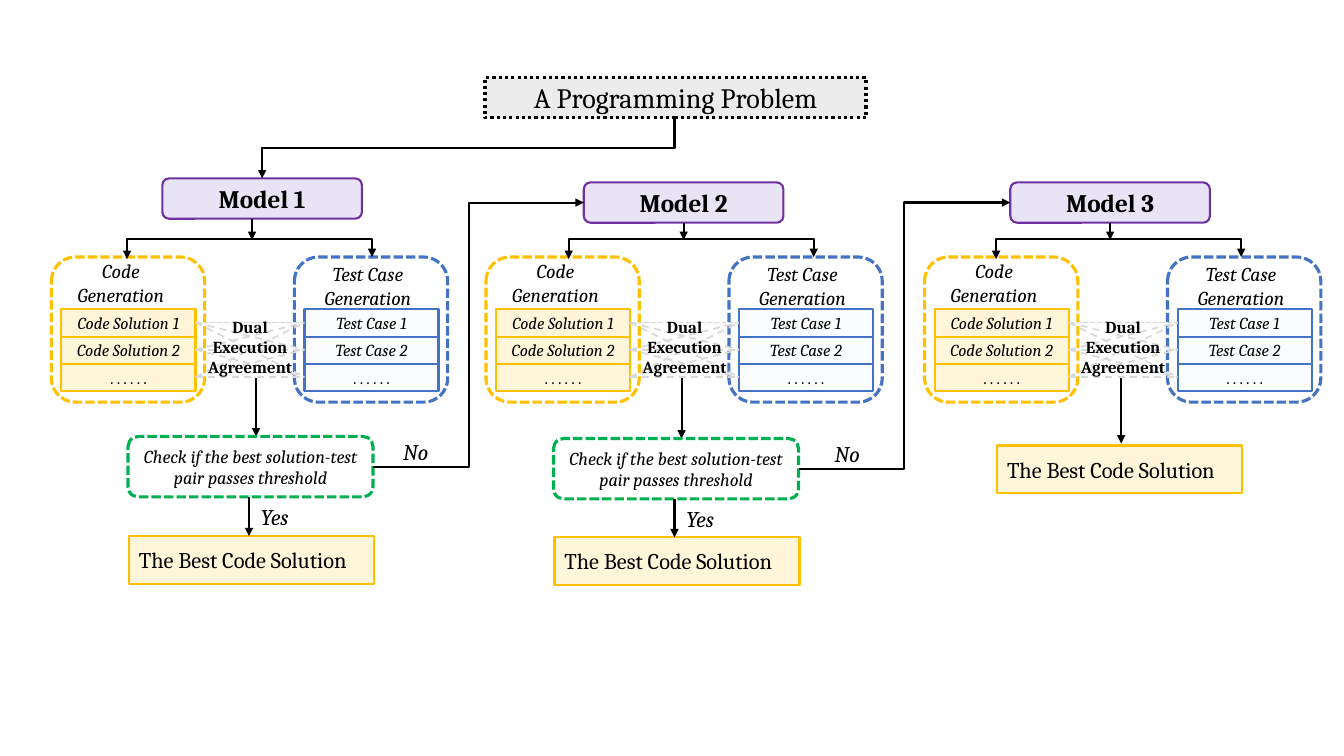
"""Build the slide of three models that are tried in turn on a programming problem."""
from itertools import product
from lxml import etree
from pptx import Presentation
from pptx.dml.color import RGBColor
from pptx.enum import dml, shapes, text
from pptx.oxml import ns
from pptx.util import Inches, Pt

GOLD, BLUE, PALE, GREEN = "FFC000", "4472C4", "DEEBF7", "00B050"
PLUM, LILAC, GRAY, SMOKE = "7030A0", "876FCA", "D9D9D9", "AFABAB"
BLACK, WHITE = "000000", "FFFFFF"
RECT, ROUND = shapes.MSO_SHAPE.RECTANGLE, shapes.MSO_SHAPE.ROUNDED_RECTANGLE
DASH = dml.MSO_LINE
LEFT = text.PP_ALIGN.LEFT
DOTS = ". . . . . ."

PANELS = [
    {"head": ["Code", "Generation"], "rows": ["Code Solution 1", "Code Solution 2", DOTS],
     "dx": 0, "mid": 0.69, "top": 2.52, "line": GOLD, "fill": GOLD},
    {"head": ["Test Case", "Generation"], "rows": ["Test Case 1", "Test Case 2", DOTS],
     "dx": 2.41, "mid": 0.73, "top": 2.55, "line": BLUE, "fill": PALE},
]
MODELS = [
    {"name": "Model 1", "at": (1.61, 1.77), "x": 0.51, "stem": 2.5, "fork": 1.26,
     "drop": 2.54, "check": (1.27, 4.33), "best": (1.28, 5.32), "no": 3.9, "turn": 4.65},
    {"name": "Model 2", "at": (5.79, 1.81), "x": 4.82, "stem": 6.78, "fork": 5.64,
     "drop": 6.76, "check": (5.49, 4.35), "best": (5.5, 5.33), "no": 8.18, "turn": 8.97},
    {"name": "Model 3", "at": (10.02, 1.81), "x": 9.17, "stem": 11.01, "fork": 9.88,
     "drop": 11.12, "best": (9.89, 4.42)},
]
CHECK = "Check if the best solution-test pair passes threshold"
BEST = "The Best Code Solution"
WIDE, HIGH, ROW = 1.98, 0.4, 0.27

deck = Presentation()
deck.slide_width, deck.slide_height = Inches(13.33), Inches(7.5)
slide = deck.slides.add_slide(deck.slide_layouts[5])


def tint(part, code, alpha=100):
    """Give a fill a solid colour with an opacity in percent."""
    part.solid()
    part.fore_color.rgb = RGBColor.from_string(code)
    if alpha < 100:
        node = part._xPr.find(".//" + ns.qn("a:srgbClr"))
        etree.SubElement(node, ns.qn("a:alpha"), val=str(alpha * 1000))


def write(shape, lines, size=12, bold=False, italic=False,
          align=text.PP_ALIGN.CENTER, anchor=text.MSO_ANCHOR.MIDDLE, wrap=True):
    """Put one line or a list of lines into a shape."""
    frame = shape.text_frame
    frame.auto_size = text.MSO_AUTO_SIZE.NONE
    frame.word_wrap, frame.vertical_anchor = wrap, anchor
    lines = [lines] if isinstance(lines, str) else lines
    for i, line in enumerate(lines):
        para = frame.add_paragraph() if i else frame.paragraphs[0]
        para.alignment = align
        run = para.add_run()
        run.text = line
        font = run.font
        font.name, font.size, font.bold, font.italic = "Cambria", Pt(size), bold, italic
        tint(font.fill, BLACK)


def style(shape, fill, line, weight=1.5, dash=None, alpha=100):
    """Set the fill and the outline of a shape."""
    shape.shadow.inherit = False
    tint(shape.fill, fill, alpha)
    tint(shape.line.fill, line)
    shape.line.width = Pt(weight)
    shape.line.dash_style = dash


def box(kind, x, y, w, h, fill, line, **look):
    """Add a filled shape."""
    shape = slide.shapes.add_shape(kind, *map(Inches, (x, y, w, h)))
    style(shape, fill, line, **look)
    return shape


def label(x, y, w, h, lines, **form):
    """Add a text box."""
    area = slide.shapes.add_textbox(*map(Inches, (x, y, w, h)))
    write(area, lines, anchor=text.MSO_ANCHOR.TOP, **form)


def link(x1, y1, x2, y2, kind=shapes.MSO_CONNECTOR.STRAIGHT, color=BLACK,
         weight=1.5, dash=None, ends=("tailEnd",), bend=None):
    """Add a connector with arrowheads at the named ends."""
    wire = slide.shapes.add_connector(kind, *map(Inches, (x1, y1, x2, y2)))
    tint(wire.line.fill, color)
    wire.line.width, wire.line.dash_style = Pt(weight), dash
    pen = wire.line._get_or_add_ln()
    for end in ends:
        etree.SubElement(pen, ns.qn("a:" + end), type="triangle")
    prop = wire._element.spPr
    etree.SubElement(prop, ns.qn("a:effectLst"))
    if bend is not None:
        guides = prop.find(ns.qn("a:prstGeom")).get_or_add_avLst()
        etree.SubElement(guides, ns.qn("a:gd"), name="adj1", fmla=f"val {round(bend * 100000)}")
    return wire


def elbow(x1, y1, x2, y2, turn):
    """Link two points sideways, turning at a given x."""
    link(x1, y1, x2, y2, shapes.MSO_CONNECTOR.ELBOW, bend=(turn - x1) / (x2 - x1))


def fall(x1, y1, x2, y2, turn, **look):
    """Link a right point to a lower left one, turning at a given y."""
    x, y, w, h = (x1 + x2) / 2, (y1 + y2) / 2, (y2 - y1) / 2, (x1 - x2) / 2
    wire = link(x - w, y - h, x + w, y + h, shapes.MSO_CONNECTOR.ELBOW,
                bend=(turn - y1) / (y2 - y1), **look)
    wire._element.spPr.xfrm.set("rot", "5400000")


def panel(x, part):
    """Draw a dashed panel with its heading and rows."""
    left = x + part["dx"]
    box(ROUND, left, 2.55, 1.52, 1.44, WHITE, part["line"], weight=2.25, dash=DASH.SQUARE_DOT)
    for i, row in enumerate(part["rows"]):
        cell = box(RECT, left + 0.1, 3.07 + i * ROW, 1.33, ROW, part["fill"], part["line"], alpha=15)
        write(cell, row, italic=row != DOTS)
    label(left + part["mid"] - 0.6, part["top"], 1.2, 0.57, part["head"],
          size=14, italic=True, wrap=False)


def stage(model):
    """Draw one model from its name down to its best solution."""
    x, (left, top), drop = model["x"], model["at"], model["drop"]
    write(box(ROUND, left, top, WIDE, HIGH, LILAC, PLUM, alpha=19), model["name"], size=18, bold=True)
    for part in PANELS:
        panel(x, part)
    fall(model["fork"] + 2.43, 2.55, model["fork"], 2.57, 2.37, ends=("headEnd", "tailEnd"))
    link(model["stem"], top + HIGH, model["stem"], 2.38)
    for i, j in product(range(3), repeat=2):
        link(x + 1.43, 3.2 + i * ROW, x + 2.51, 3.2 + j * ROW, color=GRAY, weight=1.25,
             dash=DASH.DASH if i or j else DASH.SQUARE_DOT, ends=())
    label(x + 1.21, 3.09, 1.52, 0.71, ["Dual", "Execution", "Agreement"], bold=True)
    goal, low = model["best"]
    write(box(RECT, goal, low, 2.43, 0.47, GOLD, GOLD, alpha=15), BEST, size=16, align=LEFT)
    if "check" not in model:
        link(drop, 3.75, drop, low - 0.02)
        return
    side, y = model["check"]
    link(drop, 3.75, drop, y)
    test = box(ROUND, side, y, 2.43, 0.6, WHITE, GREEN, weight=2.25, dash=DASH.SQUARE_DOT)
    write(test, CHECK, size=13, italic=True)
    link(side + 1.2, y + 0.6, side + 1.2, low)
    label(side + 1.22, y + 0.61, 0.49, 0.37, "Yes", size=16, italic=True, align=LEFT, wrap=False)
    label(model["no"], y - 0.03, 0.47, 0.37, "No", size=16, italic=True, align=LEFT, wrap=False)


task = slide.shapes.title
task.left, task.top, task.width, task.height = map(Inches, (4.81, 0.77, 3.78, HIGH))
style(task, SMOKE, BLACK, weight=2.25, dash=DASH.ROUND_DOT, alpha=22)
write(task, "A Programming Problem", size=20)
for model in MODELS:
    stage(model)
fall(6.69, 1.17, 2.6, 1.77, 1.47)
for here, then in zip(MODELS, MODELS[1:]):
    (side, y), (left, top) = here["check"], then["at"]
    elbow(side + 2.43, y + 0.3, left, top + HIGH / 2, here["turn"])

deck.save("out.pptx")
